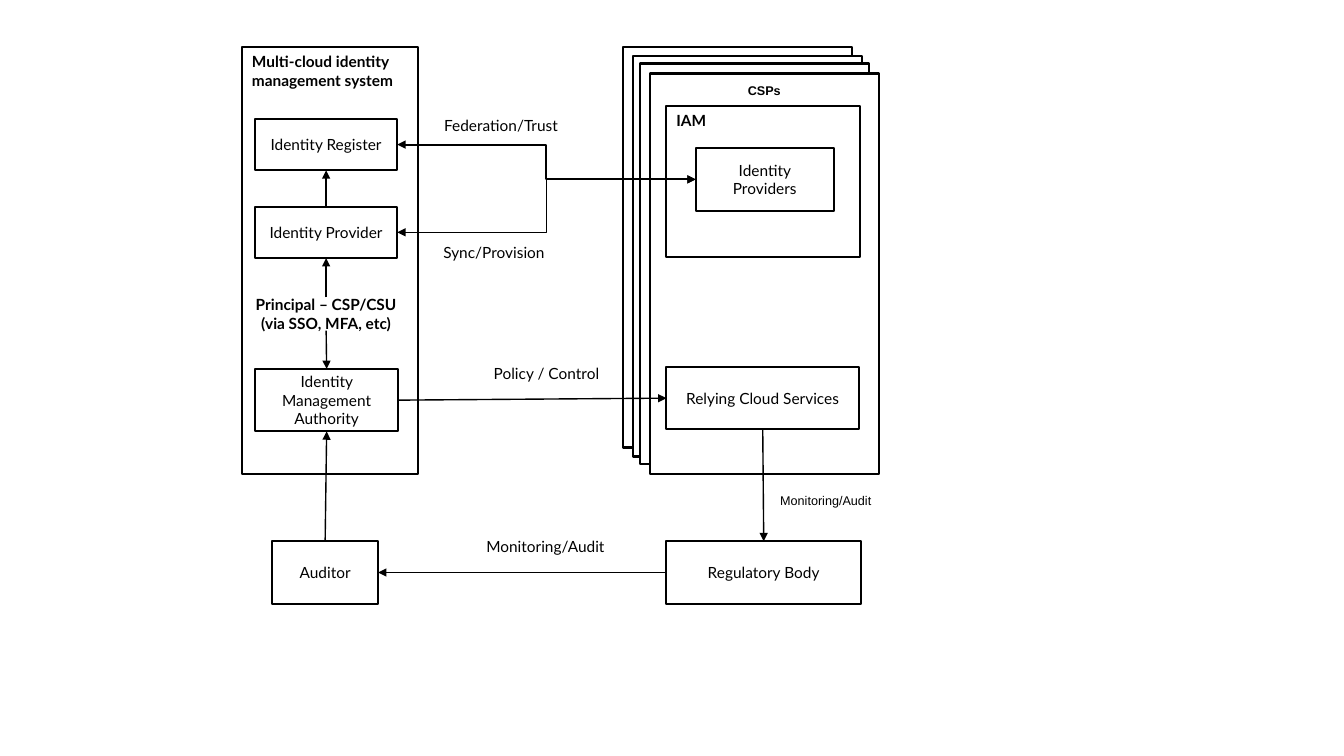
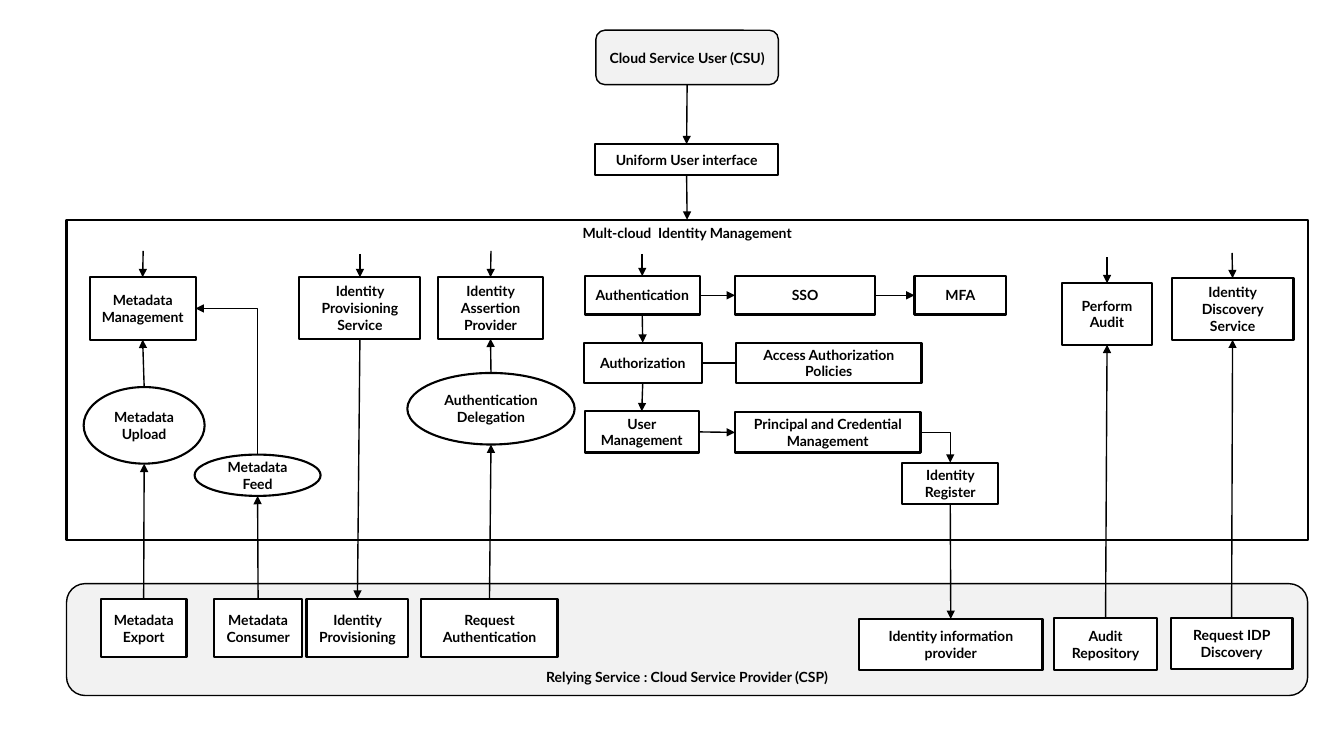
"""Build two diagrams of identity management across several clouds."""
from functools import partial

from lxml.etree import SubElement as Sub
from pptx import Presentation
from pptx.dml.color import RGBColor as Rgb
from pptx.enum.shapes import MSO_CONNECTOR as Wire, MSO_SHAPE as Form
from pptx.enum.text import MSO_ANCHOR as Anchor, PP_ALIGN as Align
from pptx.oxml.ns import qn
from pptx.util import Inches, Pt

HUES = {"ink": "000000", "paper": "FFFFFF", "pale": "F2F2F2"}
TOP, LEFT, BASE, RIGHT = range(4)


def hue(name):
    return Rgb.from_string(HUES[name])


def write(shape, text, size, bold, font, align, anchor):
    frame = shape.text_frame
    frame.word_wrap = True
    frame.vertical_anchor = anchor
    par = frame.paragraphs[0]
    par.alignment = align
    run = par.add_run()
    run.text = text
    run.font.name = font
    run.font.size = Pt(size)
    run.font.bold = bold
    run.font.color.rgb = hue("ink")


def box(slide, at, text="", size=11, bold=False, font="Lato", align=Align.CENTER,
        anchor=Anchor.MIDDLE, form=Form.RECTANGLE, fill="paper", line=1.5):
    shape = slide.shapes.add_shape(form, *map(Inches, at))
    shape.shadow.inherit = False
    shape.fill.solid()
    shape.fill.fore_color.rgb = hue(fill)
    if line:
        shape.line.color.rgb = hue("ink")
        shape.line.width = Pt(line)
    else:
        shape.line.fill.background()
    if text:
        write(shape, text, size, bold, font, align, anchor)
    return shape


def label(slide, at, text, size=11, font="Lato", align=Align.CENTER):
    shape = slide.shapes.add_textbox(*map(Inches, at))
    write(shape, text, size, False, font, align, Anchor.TOP)


def dress(wire, width, head, tail):
    wire.line.color.rgb = hue("ink")
    wire.line.width = Pt(width)
    props = wire.element.spPr
    line = props.find(qn("a:ln"))
    for tag, shown in (("a:headEnd", head), ("a:tailEnd", tail)):
        if shown:
            Sub(line, qn(tag), type="triangle")
    Sub(props, qn("a:effectLst"))


def spot(end):
    first, side = end
    if isinstance(first, (int, float)):
        return Inches(first), Inches(side)
    across, down = ((1, 0), (0, 1), (1, 2), (2, 1))[side]
    return (first.left + first.width * across // 2,
            first.top + first.height * down // 2)


def link(slide, start, end, width=1, head=False, tail=True):
    wire = slide.shapes.add_connector(Wire.STRAIGHT, *spot(start), *spot(end))
    for (shape, side), join in ((start, wire.begin_connect), (end, wire.end_connect)):
        if not isinstance(shape, (int, float)) and shape.auto_shape_type != Form.OVAL:
            join(shape, side)
    dress(wire, width, head, tail)


def bend(slide, start, end, width=1, head=False, tail=True, corner=False):
    wire = slide.shapes.add_connector(Wire.ELBOW, *spot(start), *spot(end))
    if corner:
        wire.element.spPr.find(qn("a:prstGeom")).set("prst", "bentConnector2")
    dress(wire, width, head, tail)


def draw_trust(slide):
    for x, y in ((6.18, 0.47), (6.28, 0.56), (6.35, 0.63), (6.45, 0.73)):
        box(slide, (x, y, 2.27, 3.97))
    for at, text in (((6.61, 1.05, 1.92, 1.5), "IAM"),
                     ((2.4, 0.47, 1.75, 4.23), "Multi-cloud identity management system")):
        box(slide, at, text, bold=True, align=Align.LEFT, anchor=Anchor.TOP)
    box(slide, (7.06, 0.77, 1.04, 0.25), "CSPs", 9, True, "Arial",
        anchor=Anchor.TOP, line=None)

    store = box(slide, (2.53, 1.18, 1.41, 0.51), "Identity Register")
    source = box(slide, (2.53, 2.05, 1.41, 0.51), "Identity Provider")
    chief = box(slide, (2.53, 3.66, 1.42, 0.62), "Identity Management Authority")
    user = box(slide, (2.43, 2.95, 1.61, 0.33),
               "Principal – CSP/CSU (via SSO, MFA, etc)", bold=True, line=None)
    check = box(slide, (2.7, 5.37, 1.05, 0.62), "Auditor")
    cloud = box(slide, (6.61, 3.64, 1.91, 0.62), "Relying Cloud Services")
    peers = box(slide, (6.9, 1.47, 1.37, 0.62), "Identity Providers")
    body = box(slide, (6.61, 5.37, 1.93, 0.62), "Regulatory Body")

    bend(slide, (store, RIGHT), (peers, LEFT), 1.5, head=True)
    bend(slide, (source, RIGHT), (peers, LEFT), head=True)
    for start, out, end, into in ((source, TOP, store, BASE), (user, TOP, source, BASE),
                                  (user, BASE, chief, TOP), (check, TOP, chief, BASE),
                                  (chief, RIGHT, cloud, LEFT), (body, LEFT, check, RIGHT),
                                  (cloud, BASE, body, TOP)):
        link(slide, (start, out), (end, into))

    for x, y, text in ((4.28, 1.1, "Federation/Trust"), (4.21, 2.36, "Sync/Provision"),
                       (4.73, 3.56, "Policy / Control"), (4.72, 5.28, "Monitoring/Audit")):
        label(slide, (x, y, 1.38, 0.29), text)
    label(slide, (7.64, 4.84, 1.2, 0.25), "Monitoring/Audit", 9, "Arial", Align.LEFT)


def draw_flow(slide):
    node = partial(box, slide, size=10, bold=True)
    user = node((5.91, 0.3, 1.81, 0.54), "Cloud Service User (CSU)",
                form=Form.ROUNDED_RECTANGLE, fill="pale", line=1)
    front = node((5.9, 1.43, 1.82, 0.31), "Uniform User interface")
    core = node((0.66, 2.18, 12.31, 3.18), "Mult-cloud  Identity Management",
                anchor=Anchor.TOP)
    node((0.66, 5.79, 12.31, 1.11), "Relying Service : Cloud Service Provider (CSP)",
         anchor=Anchor.BOTTOM, form=Form.ROUNDED_RECTANGLE, fill="pale", line=1)

    plan = {
        "Authentication": (5.8, 2.74, 1.14, 0.38),
        "SSO": (7.29, 2.74, 1.39, 0.38),
        "MFA": (9.07, 2.74, 0.91, 0.38),
        "Authorization": (5.79, 3.4, 1.17, 0.4),
        "Access Authorization Policies": (7.3, 3.4, 1.84, 0.4),
        "User Management": (5.8, 4.08, 1.13, 0.41),
        "Principal and Credential Management": (7.29, 4.09, 1.84, 0.4),
        "Identity Register": (8.95, 4.59, 0.95, 0.41),
        "Metadata Management": (0.89, 2.75, 1.05, 0.62),
        "Identity Provisioning Service": (2.97, 2.75, 1.2, 0.61),
        "Identity Assertion Provider": (4.34, 2.75, 1.05, 0.61),
        "Perform Audit": (10.53, 2.81, 0.9, 0.61),
        "Identity Discovery Service": (11.62, 2.76, 1.21, 0.61),
        "Metadata Export": (1, 5.94, 0.85, 0.58),
        "Metadata Consumer": (2.12, 5.94, 0.88, 0.58),
        "Identity Provisioning": (3.04, 5.94, 1.01, 0.58),
        "Request Authentication": (4.18, 5.94, 1.35, 0.58),
        "Identity information provider": (8.52, 6.14, 1.82, 0.51),
        "Audit Repository": (10.45, 6.13, 1.03, 0.52),
        "Request IDP Discovery": (11.61, 6.13, 1.21, 0.51),
    }
    rounds = {
        "Metadata Upload": (0.83, 3.84, 1.2, 0.76),
        "Metadata Feed": (1.93, 4.51, 1.25, 0.41),
        "Authentication Delegation": (4.04, 3.7, 1.66, 0.71),
    }
    nodes = {text: node(at, text) for text, at in plan.items()}
    nodes |= {text: node(at, text, form=Form.OVAL) for text, at in rounds.items()}

    link(slide, (user, BASE), (front, TOP))
    link(slide, (front, BASE), (core, TOP))
    routes = {
        (TOP, BASE): (("Metadata Export", "Metadata Upload"),
                      ("Metadata Upload", "Metadata Management"),
                      ("Metadata Consumer", "Metadata Feed"),
                      ("Request Authentication", "Authentication Delegation"),
                      ("Authentication Delegation", "Identity Assertion Provider"),
                      ("Audit Repository", "Perform Audit"),
                      ("Request IDP Discovery", "Identity Discovery Service")),
        (BASE, TOP): (("Identity Provisioning Service", "Identity Provisioning"),
                      ("Authentication", "Authorization"),
                      ("Authorization", "User Management"),
                      ("Identity Register", "Identity information provider")),
        (RIGHT, LEFT): (("Authentication", "SSO"), ("SSO", "MFA"),
                        ("User Management", "Principal and Credential Management")),
    }
    for (out, into), pairs in routes.items():
        for start, end in pairs:
            link(slide, (nodes[start], out), (nodes[end], into))
    link(slide, (nodes["Authorization"], RIGHT),
         (nodes["Access Authorization Policies"], LEFT), tail=False)

    for text, x, y, width in (("Metadata Management", 1.42, 2.49, 1),
                              ("Identity Provisioning Service", 3.57, 2.52, 1),
                              ("Identity Assertion Provider", 4.87, 2.49, 1),
                              ("Authentication", 6.37, 2.52, 1.5),
                              ("Perform Audit", 10.98, 2.55, 1),
                              ("Identity Discovery Service", 12.22, 2.51, 1)):
        link(slide, (x, y), (nodes[text], TOP), width)

    bend(slide, (nodes["Metadata Management"], RIGHT), (nodes["Metadata Feed"], TOP),
         head=True, tail=False, corner=True)
    bend(slide, (nodes["Principal and Credential Management"], RIGHT),
         (nodes["Identity Register"], TOP), corner=True)


def main():
    deck = Presentation()
    deck.slide_width = Inches(13.33)
    deck.slide_height = Inches(7.5)
    for draw in (draw_trust, draw_flow):
        draw(deck.slides.add_slide(deck.slide_layouts[6]))
    deck.save("out.pptx")


if __name__ == "__main__":
    main()
